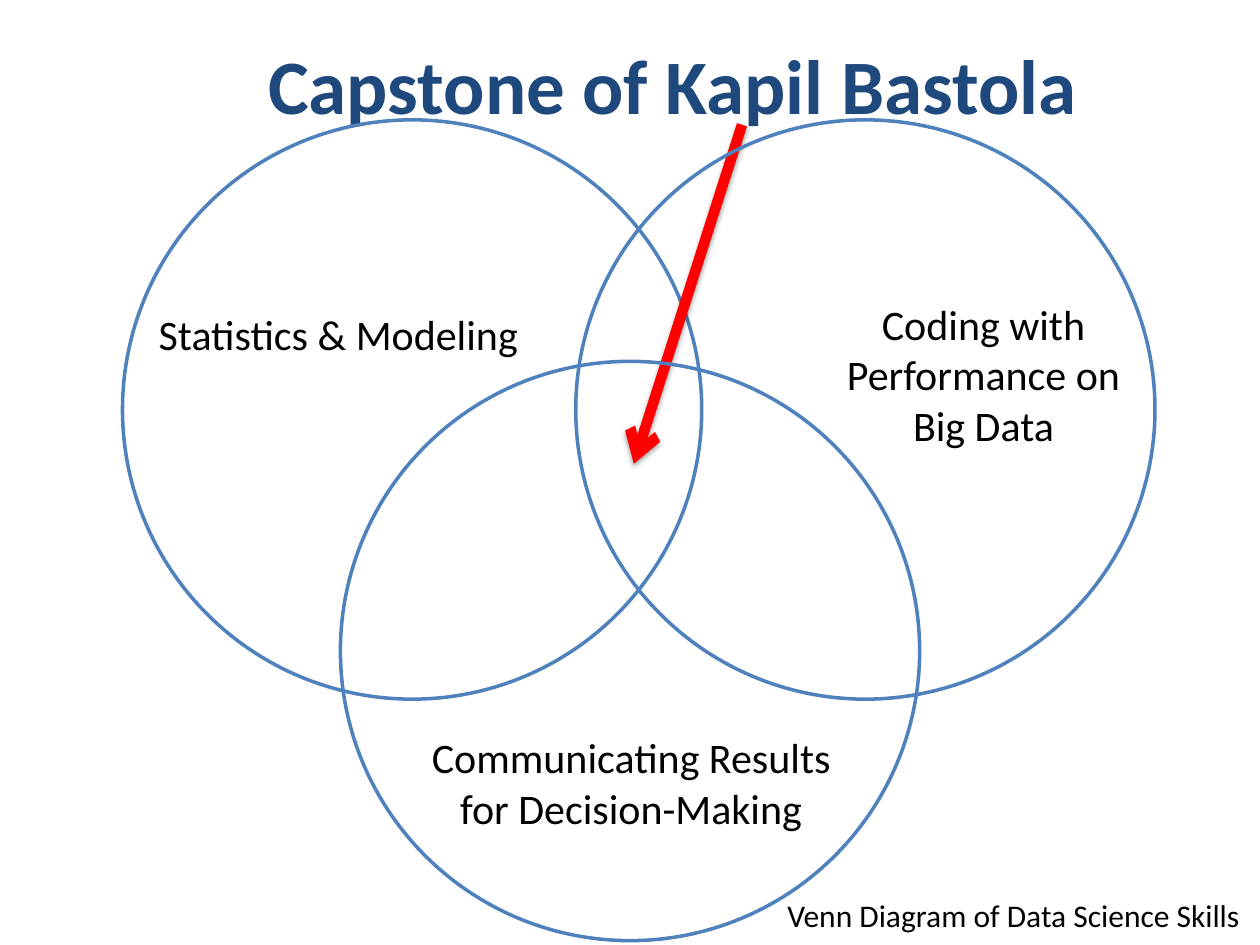
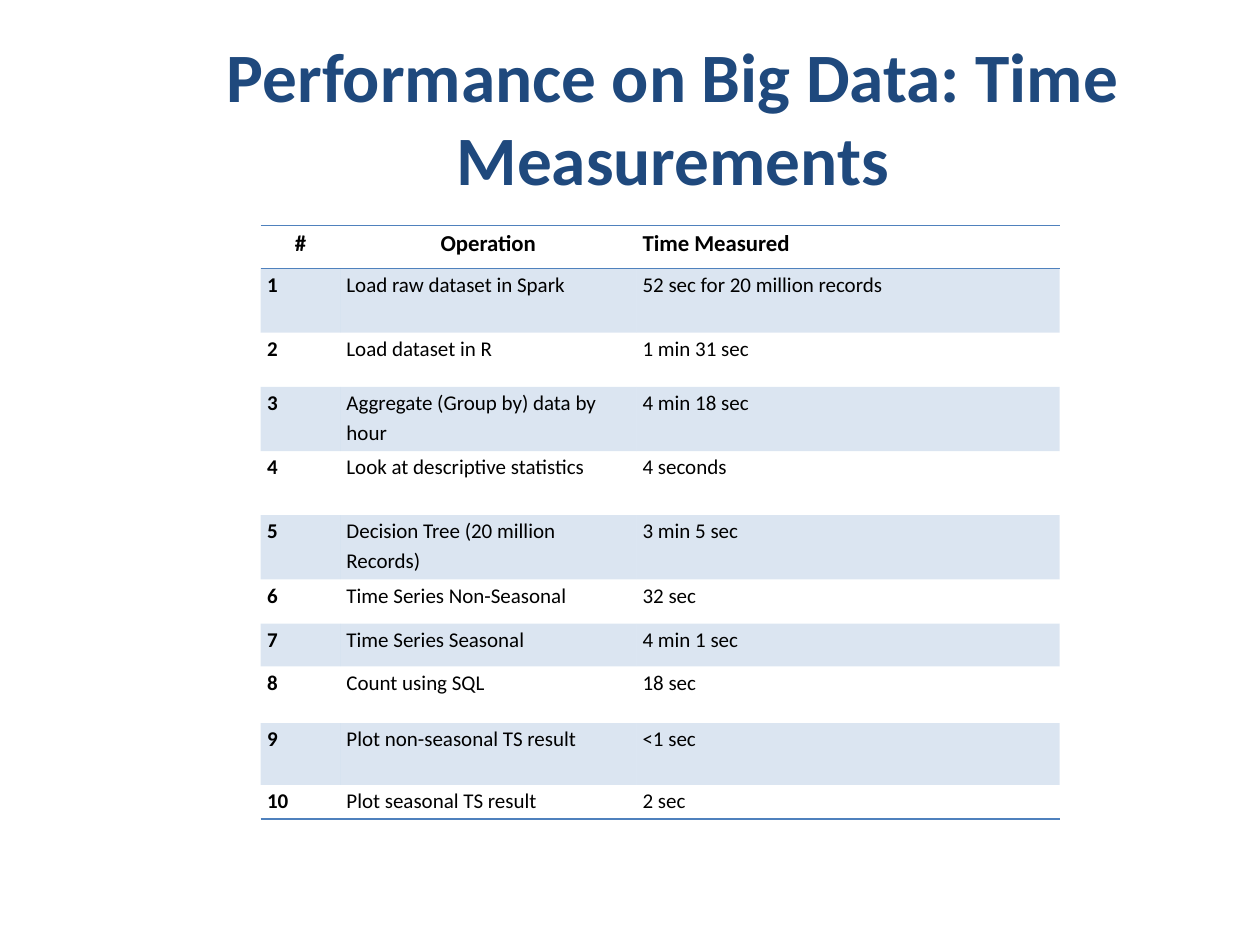
from lxml import etree
from pptx import Presentation
from pptx.dml.color import RGBColor
from pptx.enum.shapes import MSO_CONNECTOR, MSO_SHAPE
from pptx.enum.text import MSO_ANCHOR, MSO_AUTO_SIZE, PP_ALIGN
from pptx.oxml.ns import qn
from pptx.util import Pt

OVAL = MSO_SHAPE.OVAL
LINE = MSO_CONNECTOR.STRAIGHT
MIDDLE = MSO_ANCHOR.MIDDLE
NO_FIT, GROW = MSO_AUTO_SIZE.NONE, MSO_AUTO_SIZE.SHAPE_TO_FIT_TEXT
LEFT, CENTER = PP_ALIGN.LEFT, PP_ALIGN.CENTER

FONT = "Calibri"
BLUE, NAVY, RED, BLACK, WHITE = "4F81BD", "1F497D", "FF0000", "000000", "FFFFFF"
PLAIN = "{2D5ABB26-0587-4C30-8999-92F81FD0307C}"

VENN = "Capstone of Kapil Bastola"
SIZE = 331
RINGS = [(70, 68.5), (329, 68.5), (194.5, 206.5)]
ARROW = (424, 71.3, 362.2, 265)
LABELS = [
    ("Venn Diagram of Data Science Skills", (442.8, 508.3, 277.2, 28.8), 18, LEFT, False),
    ("Communicating Results for Decision-Making", (231.1, 414.7, 259.2, 65.5), 24, CENTER, True),
    ("Coding with Performance on Big Data", (466.6, 167, 190.8, 94.3), 24, CENTER, True),
    ("Statistics & Modeling", (82.1, 172.8, 222.5, 36), 24, CENTER, False),
]

TIMES = "Performance on Big Data: Time Measurements"
HEAD = ("#", "Operation", "Time Measured")
ROWS = [
    ("Load raw dataset in Spark", "52 sec for 20 million records", 36.7),
    ("Load dataset in R", "1 min 31 sec", 31),
    ("Aggregate (Group by) data by hour", "4 min 18 sec", 36.7),
    ("Look at descriptive statistics", "4 seconds", 36.7),
    ("Decision Tree (20 million Records)", "3 min 5 sec", 36.7),
    ("Time Series Non-Seasonal", "32 sec", 25.2),
    ("Time Series Seasonal", "4 min 1 sec", 24.5),
    ("Count using SQL", "18 sec", 32.4),
    ("Plot non-seasonal TS result", "<1 sec", 35.3),
    ("Plot seasonal TS result", "2 sec", 19.6),
]
TOP_ROW = 24.5
WIDTHS = (45.4, 169.2, 241.9)


def rgb(code):
    return RGBColor.from_string(code)


def node(up, tag, **attrs):
    return etree.SubElement(up, qn(tag), attrs)


def write(para, text, size, align=LEFT, bold=False, color=BLACK):
    para.alignment = align
    run = para.add_run()
    run.text = text
    font = run.font
    font.name, font.size, font.bold = FONT, Pt(size), bold
    font.color.rgb = rgb(color)


def add_slide(deck, text, top, size):
    slide = deck.slides.add_slide(deck.slide_layouts[5])
    title = slide.shapes.title
    title.left, title.top, title.width, title.height = map(Pt, (85, top, 599, 90))
    frame = title.text_frame
    frame.word_wrap = True
    frame.auto_size = NO_FIT
    frame.vertical_anchor = MIDDLE
    write(frame.paragraphs[0], text, size, CENTER, True, NAVY)
    return slide


def add_ring(slide, left, top):
    ring = slide.shapes.add_shape(OVAL, Pt(left), Pt(top), Pt(SIZE), Pt(SIZE))
    ring.shadow.inherit = False
    ring.fill.background()
    ring.line.color.rgb = rgb(BLUE)
    ring.line.width = Pt(2)


def add_arrow(slide):
    arrow = slide.shapes.add_connector(LINE, *map(Pt, ARROW))
    arrow.line.color.rgb = rgb(RED)
    arrow.line.width = Pt(6)
    node(arrow.line._get_or_add_ln(), "a:tailEnd", type="arrow")
    effect = node(arrow._element.spPr, "a:effectLst")
    shade = node(effect, "a:outerShdw", blurRad=str(Pt(3.1)), dist=str(Pt(1.6)),
                 dir="5400000", rotWithShape="0")
    node(node(shade, "a:srgbClr", val=BLACK), "a:alpha", val="38000")


def add_label(slide, text, place, size, align, wrap):
    frame = slide.shapes.add_textbox(*map(Pt, place)).text_frame
    frame.word_wrap = wrap
    frame.auto_size = GROW
    write(frame.paragraphs[0], text, size, align)


def add_edge(cell, tag):
    props = cell._tc.get_or_add_tcPr()
    edge = node(props, tag, w=str(Pt(1)))
    node(node(edge, "a:solidFill"), "a:srgbClr", val=BLUE)
    props.insert(0, edge)


def fill_cell(cell, tint):
    if not tint:
        cell.fill.background()
        return
    cell.fill.solid()
    cell.fill.fore_color.rgb = rgb(BLUE)
    color = cell._tc.tcPr.find(".//" + qn("a:srgbClr"))
    node(color, "a:alpha", val="20000")


def add_times(slide):
    lines = [HEAD] + [(str(n), task, time) for n, (task, time, _) in enumerate(ROWS, 1)]
    highs = [TOP_ROW] + [row[2] for row in ROWS]
    table = slide.shapes.add_table(len(lines), len(HEAD), Pt(149), Pt(128.9),
                                   Pt(sum(WIDTHS)), Pt(sum(highs))).table
    table.first_row = table.horz_banding = False
    table._tbl.tblPr.find(qn("a:tableStyleId")).text = PLAIN
    for col, width in zip(table.columns, WIDTHS):
        col.width = Pt(width)
    for r, (line, high) in enumerate(zip(lines, highs)):
        table.rows[r].height = Pt(high)
        for c, text in enumerate(line):
            cell = table.cell(r, c)
            cell.margin_left = cell.margin_right = Pt(3.6)
            cell.margin_top = cell.margin_bottom = 0
            para = cell.text_frame.paragraphs[0]
            para.line_spacing = 1.15
            head = r == 0
            if head:
                para.space_before = Pt(6)
            write(para, text, 13 if head else 12,
                  CENTER if head and c < 2 else LEFT, head or c == 0)
            fill_cell(cell, r % 2)
            if head or r == len(ROWS):
                add_edge(cell, "a:lnB")
            if head:
                add_edge(cell, "a:lnT")


def main():
    deck = Presentation()
    deck.slide_width, deck.slide_height = Pt(720), Pt(540)

    venn = add_slide(deck, VENN, 2.9, 44)
    add_ring(venn, *RINGS[0])
    add_arrow(venn)
    for place in RINGS[1:]:
        add_ring(venn, *place)
    for label in LABELS:
        add_label(venn, *label)

    times = add_slide(deck, TIMES, 21.6, 39.6)
    times.shapes.title.fill.solid()
    times.shapes.title.fill.fore_color.rgb = rgb(WHITE)
    add_times(times)

    deck.save("out.pptx")


if __name__ == "__main__":
    main()
